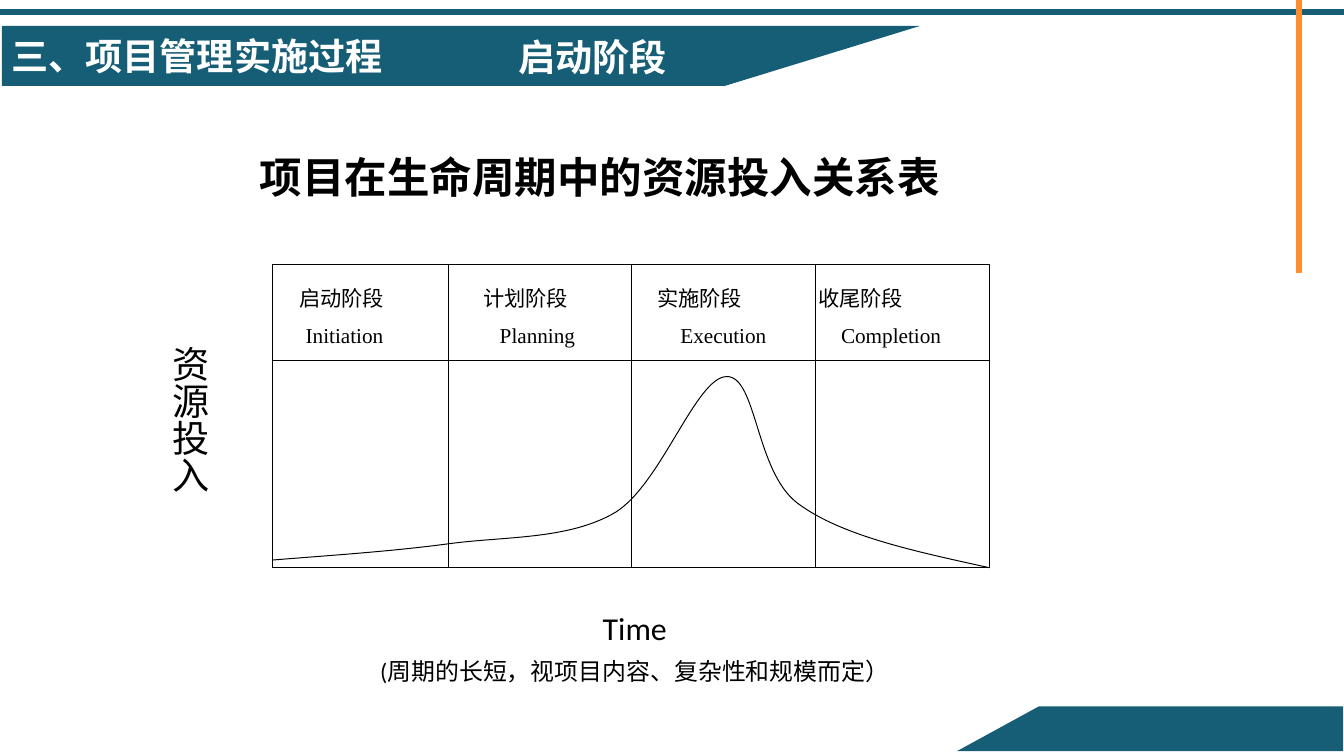
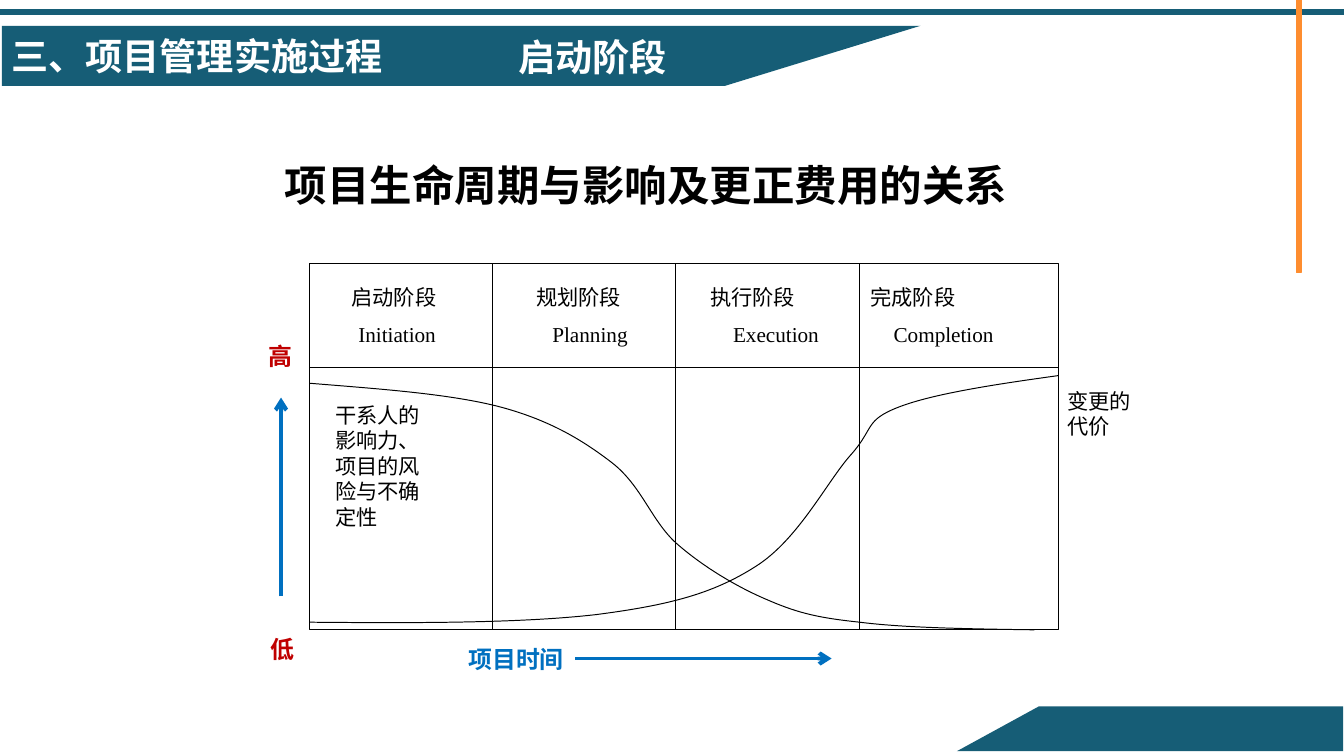
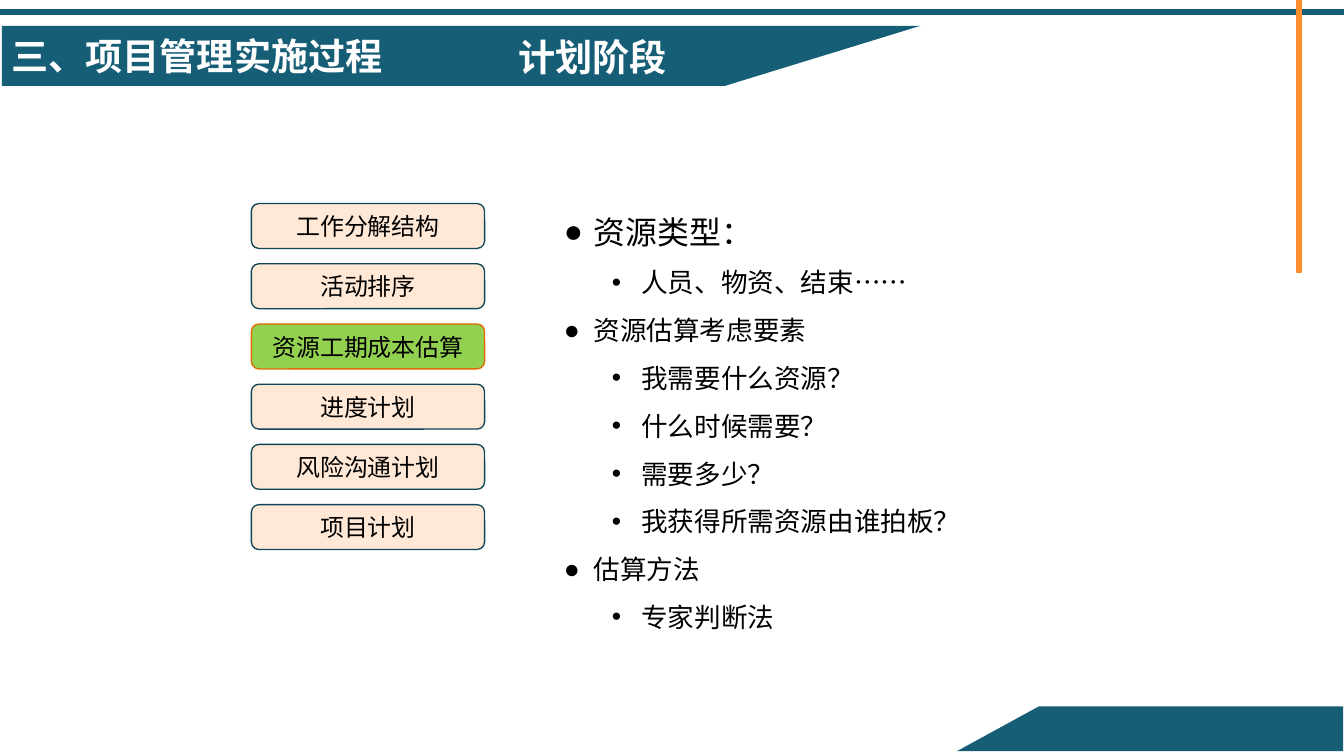
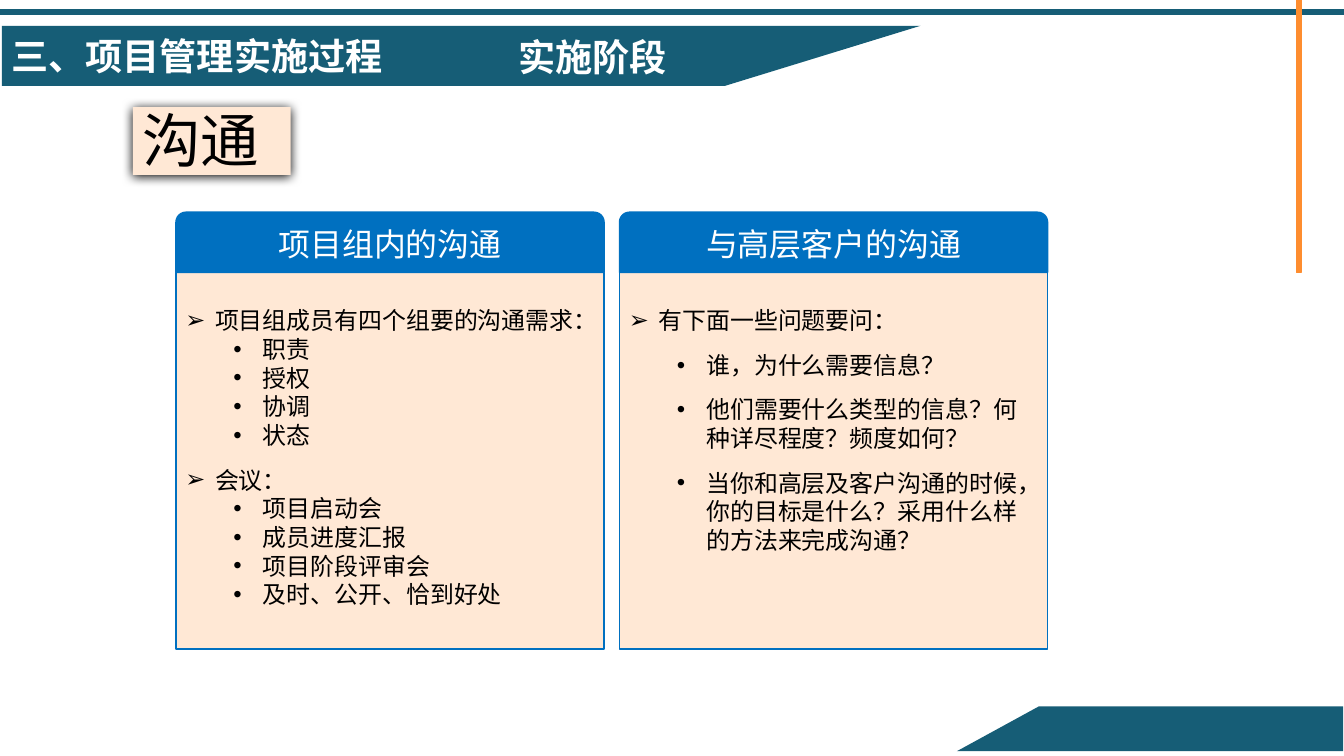
from dataclasses import dataclass
from typing import NamedTuple

from lxml.etree import SubElement
from pptx import Presentation
from pptx.dml.color import RGBColor
from pptx.enum.shapes import MSO_CONNECTOR, MSO_SHAPE
from pptx.enum.text import MSO_ANCHOR, MSO_AUTO_SIZE, PP_ALIGN
from pptx.oxml.ns import qn
from pptx.util import Inches, Pt


@dataclass(frozen=True)
class Theme:
    teal: RGBColor = RGBColor(0x16, 0x5D, 0x76)
    dark_teal: RGBColor = RGBColor(0x10, 0x45, 0x57)
    orange: RGBColor = RGBColor(0xFE, 0x8D, 0x2F)
    dark_orange: RGBColor = RGBColor(0xE1, 0x67, 0x01)
    peach: RGBColor = RGBColor(0xFF, 0xE8, 0xD5)
    green: RGBColor = RGBColor(0x92, 0xD0, 0x50)
    blue: RGBColor = RGBColor(0x00, 0x70, 0xC0)
    red: RGBColor = RGBColor(0xC0, 0x00, 0x00)
    black: RGBColor = RGBColor(0, 0, 0)
    white: RGBColor = RGBColor(0xFF, 0xFF, 0xFF)
    sans: str = "Calibri"
    chinese: str = "Noto Sans CJK SC"
    serif: str = "Times New Roman"
    small: int = 16
    body: int = 18
    point: int = 20
    subtitle: int = 24
    band: int = 28
    heading: int = 32
    topic: int = 44


THEME = Theme()


class Area(NamedTuple):
    left: float
    top: float
    width: float
    height: float

    def lengths(self) -> tuple:
        return tuple(Inches(value) for value in self)


class Style(NamedTuple):
    size: int
    font: str = THEME.sans
    color: RGBColor = THEME.black
    bold: bool = False
    align: PP_ALIGN = PP_ALIGN.LEFT
    line_spacing: float = 1.0


class Stage(NamedTuple):
    """Text offsets of one stage from the left of the header row."""
    english: str
    offset: float
    indent: float


class Grid(NamedTuple):
    area: Area
    header: float
    first_divider: float
    text_left: float
    stage_names: tuple


class Item(NamedTuple):
    text: str
    level: int = 0
    size: int = THEME.body
    space_before: int = 0


class Card(NamedTuple):
    title: str
    items: tuple


class Step(NamedTuple):
    text: str
    current: bool = False


STAGES = (
    Stage("Initiation", 0.09, 0.07),
    Stage("Planning", 2.02, 0.17),
    Stage("Execution", 3.84, 0.24),
    Stage("Completion", 5.52, 0.24),
)
DIVIDER_GAP = 1.92
BAND_TITLE = Style(THEME.band, color=THEME.white, bold=True)
HEADING = Style(THEME.heading, bold=True, line_spacing=0.9)
STAGE_TEXT = Style(THEME.small, THEME.serif)

RESOURCE_GRID = Grid(Area(2.85, 2.77, 7.5, 3.17), 1.0, 1.84, 2.94,
                     ("启动阶段", "计划阶段", "实施阶段", "收尾阶段"))
RESOURCE_CURVE = (
    (2.85, 5.86), (3.47, 5.81), (4.09, 5.77), (4.69, 5.69),
    (5.28, 5.61), (5.95, 5.65), (6.44, 5.36),
    (6.92, 5.06), (7.28, 3.95), (7.6, 3.94),
    (7.92, 3.93), (7.9, 4.94), (8.35, 5.27),
    (8.81, 5.61), (9.58, 5.77), (10.35, 5.94),
)

INFLUENCE_GRID = Grid(Area(3.24, 2.76, 7.83, 3.83), 1.08, 1.91, 3.49,
                      ("启动阶段", "规划阶段", "执行阶段", "完成阶段"))
INFLUENCE_CURVE = (
    (3.24, 4.01), (3.97, 4.07), (4.71, 4.12), (5.24, 4.26),
    (5.76, 4.4), (6.1, 4.61), (6.4, 4.84),
    (6.71, 5.08), (6.81, 5.44), (7.07, 5.68),
    (7.33, 5.91), (7.67, 6.12), (7.99, 6.26),
    (8.31, 6.4), (8.51, 6.46), (8.99, 6.51),
    (9.46, 6.57), (10.14, 6.58), (10.82, 6.59),
)
CHANGE_COST_CURVE = (
    (3.24, 6.51), (4.35, 6.52), (5.46, 6.52), (6.24, 6.43),
    (7.01, 6.33), (7.46, 6.21), (7.9, 5.93),
    (8.35, 5.65), (8.65, 5.04), (8.9, 4.76),
    (9.15, 4.48), (9.04, 4.4), (9.4, 4.26),
    (9.76, 4.12), (10.42, 4.02), (11.07, 3.93),
)

PLANNING_STEPS = (
    Step("工作分解结构"),
    Step("活动排序"),
    Step("资源工期成本估算", current=True),
    Step("进度计划"),
    Step("风险沟通计划"),
    Step("项目计划"),
)
ESTIMATE_ITEMS = (
    Item("资源类型：", 0, THEME.subtitle),
    Item("人员、物资、结束……", 1, THEME.point),
    Item("资源估算考虑要素", 0, THEME.point),
    Item("我需要什么资源？", 1, THEME.point),
    Item("什么时候需要？", 1, THEME.point),
    Item("需要多少？", 1, THEME.point),
    Item("我获得所需资源由谁拍板？", 1, THEME.point),
    Item("估算方法", 0, THEME.point),
    Item("专家判断法", 1, THEME.point),
)
CARDS = (
    Card("项目组内的沟通", (
        Item("项目组成员有四个组要的沟通需求："),
        Item("职责", 1),
        Item("授权", 1),
        Item("协调", 1),
        Item("状态", 1),
        Item("会议：", space_before=12),
        Item("项目启动会", 1),
        Item("成员进度汇报", 1),
        Item("项目阶段评审会", 1),
        Item("及时、公开、恰到好处", 1),
    )),
    Card("与高层客户的沟通", (
        Item("有下面一些问题要问："),
        Item("谁，为什么需要信息？", 1, space_before=12),
        Item("他们需要什么类型的信息？何种详尽程度？频度如何？", 1, space_before=12),
        Item("当你和高层及客户沟通的时候，你的目标是什么？采用什么样的方法来完成沟通？",
             1, space_before=12),
    )),
)


def write(para, text: str, style: Style, space_before: int = 0) -> None:
    para.text = text
    para.alignment = style.align
    para.line_spacing = style.line_spacing
    para.space_before = Pt(space_before)
    para.font.size = Pt(style.size)
    para.font.name = style.font
    para.font.bold = style.bold
    para.font.color.rgb = style.color


def add_text(slide, area: Area, text: str, style: Style, wrap: bool = True):
    box = slide.shapes.add_textbox(*area.lengths())
    box.text_frame.word_wrap = wrap
    write(box.text_frame.paragraphs[0], text, style)
    return box


def paint(shape, fill: RGBColor | None, line: RGBColor | None, width: float = 1) -> None:
    if fill is None:
        shape.fill.background()
    else:
        shape.fill.solid()
        shape.fill.fore_color.rgb = fill
    if line is None:
        shape.line.fill.background()
    else:
        shape.line.color.rgb = line
        shape.line.width = Pt(width)


def add_box(slide, kind: MSO_SHAPE, area: Area, fill: RGBColor | None,
            line: RGBColor | None, width: float = 1):
    box = slide.shapes.add_shape(kind, *area.lengths())
    box.shadow.inherit = False
    paint(box, fill, line, width)
    return box


def add_label_box(slide, kind: MSO_SHAPE, area: Area, text: str, style: Style,
                  fill: RGBColor, line: RGBColor | None):
    box = add_box(slide, kind, area, fill, line)
    box.text_frame.word_wrap = True
    box.text_frame.vertical_anchor = MSO_ANCHOR.MIDDLE
    write(box.text_frame.paragraphs[0], text, style)
    return box


def add_outline(slide, points: tuple, closed: bool):
    corners = [(Inches(x), Inches(y)) for x, y in points]
    builder = slide.shapes.build_freeform(*corners[0])
    builder.add_line_segments(corners[1:], close=closed)
    outline = builder.convert_to_shape()
    outline.shadow.inherit = False
    return outline


def add_curve(slide, points: tuple) -> None:
    """Draw cubic segments: a start, then two controls and an end for each."""
    curve = add_outline(slide, points, closed=False)
    paint(curve, None, THEME.black, 0.75)
    segments = list(curve.element.iter(qn("a:lnTo")))
    for first in range(0, len(segments), 3):
        bezier = SubElement(segments[first].getparent(), qn("a:cubicBezTo"))
        for segment in segments[first:first + 3]:
            bezier.append(segment[0])
            segment.getparent().remove(segment)


def add_line(slide, start: tuple, end: tuple, color: RGBColor = THEME.black,
             width: float = 0.75, arrow: bool = False) -> None:
    line = slide.shapes.add_connector(
        MSO_CONNECTOR.STRAIGHT, *(Inches(value) for value in start + end))
    line.line.color.rgb = color
    line.line.width = Pt(width)
    properties = line.element.spPr
    if arrow:
        SubElement(properties.find(qn("a:ln")), qn("a:tailEnd"), type="arrow")
    SubElement(properties, qn("a:effectLst"))


def add_grid(slide, grid: Grid) -> None:
    """Draw the stage frame with its header row."""
    left, top, width, height = grid.area
    add_box(slide, MSO_SHAPE.RECTANGLE, grid.area, None, THEME.black, 0.75)
    add_line(slide, (left, top + grid.header), (left + width, top + grid.header))
    for index in range(len(STAGES) - 1):
        x = left + grid.first_divider + index * DIVIDER_GAP
        add_line(slide, (x, top), (x, top + height))
    for stage, name in zip(STAGES, grid.stage_names):
        area = Area(grid.text_left + stage.offset, top + 0.17, 1.6, 0.75)
        frame = add_text(slide, area, name, STAGE_TEXT).text_frame
        english = frame.add_paragraph()
        write(english, stage.english, STAGE_TEXT, space_before=8)
        english._p.get_or_add_pPr().set("marL", str(Inches(stage.indent)))


def fill_list(placeholder, area: Area, items: tuple, markers: str,
              indent: float, line_spacing: float = 1.0) -> None:
    placeholder.left, placeholder.top, placeholder.width, placeholder.height = area.lengths()
    frame = placeholder.text_frame
    frame.auto_size = MSO_AUTO_SIZE.NONE
    frame.vertical_anchor = MSO_ANCHOR.TOP
    for index, item in enumerate(items):
        para = frame.add_paragraph() if index else frame.paragraphs[0]
        para.level = item.level
        properties = para._p.get_or_add_pPr()
        properties.set("marL", str(Inches(indent + item.level * 0.5)))
        properties.set("indent", str(Inches(-0.31)))
        SubElement(properties, qn("a:buChar"), char=markers[item.level])
        style = Style(item.size, THEME.chinese, line_spacing=line_spacing)
        write(para, item.text, style, item.space_before)


def add_slide(deck, layout_name: str, phase: str):
    slide = deck.slides.add_slide(deck.slide_layouts.get_by_name(layout_name))
    title = slide.shapes.title
    title.left, title.top, title.width, title.height = Area(5.32, 0.31, 1.93, 0.57).lengths()
    title.text_frame.auto_size = MSO_AUTO_SIZE.NONE
    title.text_frame.vertical_anchor = MSO_ANCHOR.TOP
    write(title.text_frame.paragraphs[0], phase, BAND_TITLE)
    return slide


def decorate_master(deck, slide) -> None:
    """Draw the shared bands on a slide, then move them to the master."""
    parts = [
        add_box(slide, MSO_SHAPE.RECTANGLE, Area(0, 0.1, 14.06, 0.05), THEME.teal, THEME.teal),
        add_box(slide, MSO_SHAPE.RECTANGLE, Area(13.56, 0, 0.05, 2.85),
                THEME.orange, THEME.orange),
    ]
    for corners in (
        ((0.02, 0.27), (9.63, 0.27), (7.58, 0.9), (0.02, 0.9)),
        ((14.05, 7.86), (10.01, 7.86), (10.87, 7.39), (14.05, 7.39)),
    ):
        band = add_outline(slide, corners, closed=True)
        paint(band, THEME.teal, None)
        parts.append(band)
    parts.append(add_text(slide, Area(0.02, 0.3, 4.9, 0.58), "三、项目管理实施过程",
                          BAND_TITLE._replace(font=THEME.chinese)))
    tree = deck.slide_master.shapes.element
    for part in parts:
        tree.insert_element_before(part.element, "p:extLst")


def build_resource_slide(deck):
    slide = add_slide(deck, "Title Only", "启动阶段")
    add_text(slide, Area(2.62, 1.59, 8.5, 0.79), "项目在生命周期中的资源投入关系表", HEADING)
    add_grid(slide, RESOURCE_GRID)
    add_curve(slide, RESOURCE_CURVE)
    axis = add_text(slide, Area(1.6, 3.52, 0.67, 1.92), "资源投入",
                    Style(THEME.band, THEME.serif))
    axis.element.find(".//" + qn("a:bodyPr")).set("vert", "eaVert")
    caption = Style(THEME.subtitle, align=PP_ALIGN.CENTER, line_spacing=0.9)
    time = add_text(slide, Area(2.85, 6.36, 7.58, 0.83), "Time", caption)
    write(time.text_frame.add_paragraph(), "(周期的长短，视项目内容、复杂性和规模而定）",
          caption._replace(size=THEME.body), space_before=10)
    return slide


def build_influence_slide(deck) -> None:
    slide = add_slide(deck, "Title Only", "启动阶段")
    add_text(slide, Area(2.88, 1.68, 8.44, 0.79), "项目生命周期与影响及更正费用的关系", HEADING)
    add_grid(slide, INFLUENCE_GRID)
    add_curve(slide, INFLUENCE_CURVE)
    add_curve(slide, CHANGE_COST_CURVE)
    add_text(slide, Area(3.41, 4.16, 1.25, 1.45), "干系人的影响力、项目的风险与不确定性", STAGE_TEXT)
    add_text(slide, Area(11.07, 4.01, 1, 0.64), "变更的代价", STAGE_TEXT)
    extreme = Style(THEME.body, color=THEME.red, bold=True)
    add_text(slide, Area(2.73, 6.59, 0.45, 0.4), "低", extreme, wrap=False)
    add_text(slide, Area(2.71, 3.52, 0.45, 0.4), "高", extreme, wrap=False)
    add_line(slide, (2.94, 6.24), (2.94, 4.16), THEME.blue, 3, arrow=True)
    add_line(slide, (6.02, 6.89), (8.7, 6.89), THEME.blue, 3, arrow=True)
    add_text(slide, Area(4.8, 6.7, 1.21, 0.4), "项目时间",
             extreme._replace(color=THEME.blue), wrap=False)


def build_estimate_slide(deck) -> None:
    slide = add_slide(deck, "Title and Content", "计划阶段")
    style = Style(THEME.body, THEME.chinese, align=PP_ALIGN.CENTER)
    for index, step in enumerate(PLANNING_STEPS):
        fill, line = ((THEME.green, THEME.dark_orange) if step.current
                      else (THEME.peach, THEME.dark_teal))
        add_label_box(slide, MSO_SHAPE.ROUNDED_RECTANGLE,
                      Area(2.63, 2.13 + index * 0.63, 2.44, 0.47),
                      step.text, style, fill, line)
    fill_list(slide.placeholders[1], Area(5.3, 1.97, 5.75, 4.75), ESTIMATE_ITEMS,
              "●•", indent=0.81, line_spacing=1.5)


def build_communication_slide(deck) -> None:
    slide = add_slide(deck, "Two Content", "实施阶段")
    topic = add_label_box(slide, MSO_SHAPE.RECTANGLE, Area(1.39, 1.12, 1.65, 0.71), "沟通",
                          Style(THEME.topic, line_spacing=0.9), THEME.peach, None)
    topic.text_frame.vertical_anchor = MSO_ANCHOR.TOP
    shadow = SubElement(topic.element.spPr.find(qn("a:effectLst")), qn("a:outerShdw"),
                        blurRad=str(Pt(8.5)), dist=str(Pt(1)), dir="5400000")
    SubElement(shadow, qn("a:srgbClr"), val=str(THEME.black))
    style = Style(THEME.subtitle, THEME.chinese, THEME.white, align=PP_ALIGN.CENTER)
    for index, card in enumerate(CARDS):
        left = 1.84 + index * 4.64
        add_label_box(slide, MSO_SHAPE.ROUND_2_SAME_RECTANGLE, Area(left, 2.22, 4.48, 0.63),
                      card.title, style, THEME.blue, THEME.blue)
        body = slide.placeholders[index + 1]
        paint(body, THEME.peach, THEME.blue)
        fill_list(body, Area(left, 2.85, 4.48, 3.94), card.items, "➢•", indent=0.31)
        body.text_frame.margin_top = Inches(0.35)


def main() -> None:
    deck = Presentation()
    deck.slide_width, deck.slide_height = Inches(14.06), Inches(7.91)
    first = build_resource_slide(deck)
    build_influence_slide(deck)
    build_estimate_slide(deck)
    build_communication_slide(deck)
    decorate_master(deck, first)
    deck.save("out.pptx")


if __name__ == "__main__":
    main()
